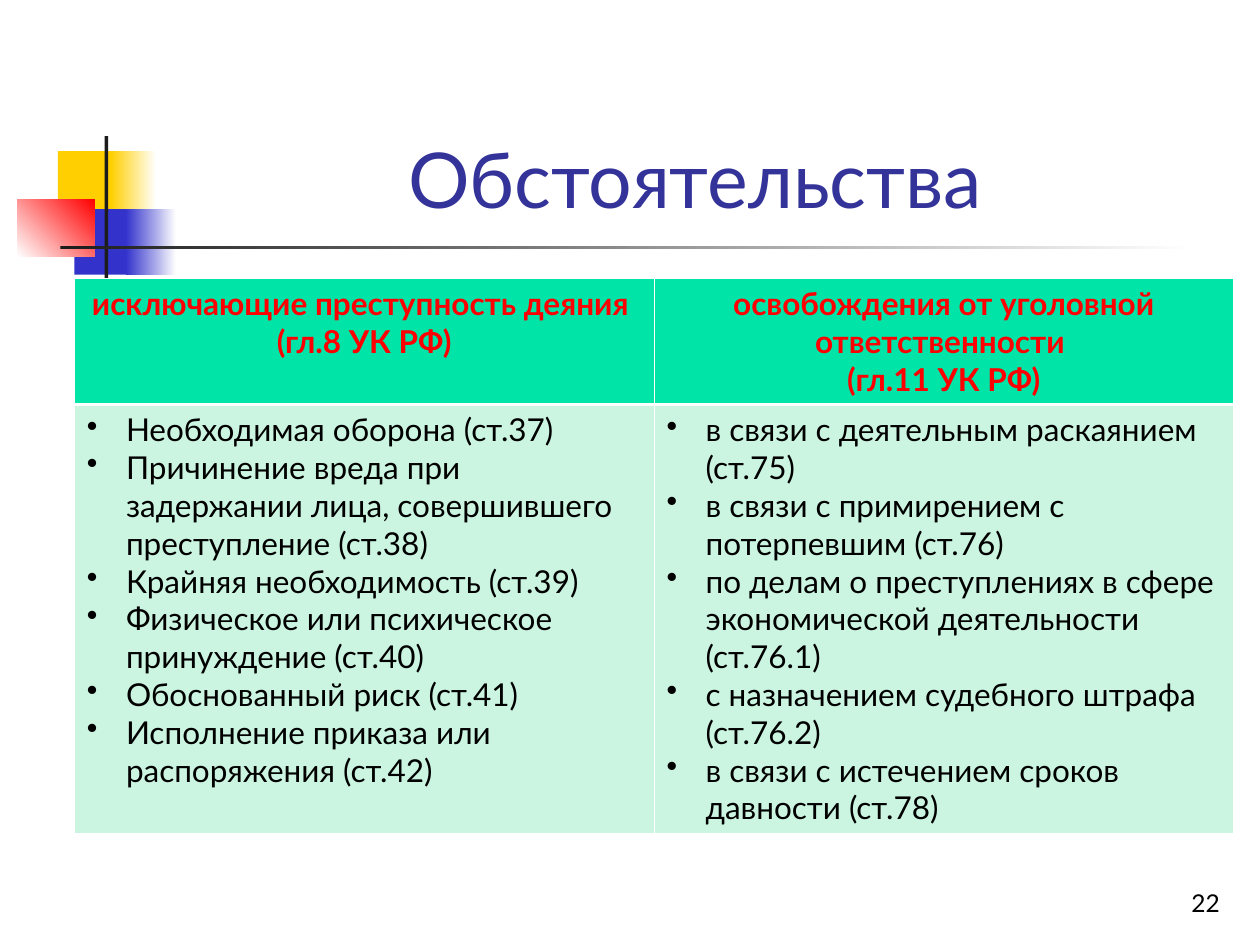
from dataclasses import dataclass
from typing import Optional

from lxml.etree import SubElement
from pptx import Presentation
from pptx.dml.color import RGBColor
from pptx.enum.shapes import MSO_SHAPE as Preset
from pptx.enum.text import MSO_ANCHOR as Anchor, PP_ALIGN as Align
from pptx.oxml.ns import qn
from pptx.util import Inches, Pt

FONT = "Lato"
COLORS = {
    "yellow": "FFCF01", "blue": "3333CC", "red": "FF0000", "dark": "1C1C1C",
    "white": "FFFFFF", "title": "333399", "black": "000000",
    "header": "00E4A8", "body": "CBF5E1",
}


@dataclass
class Block:
    left: float
    top: float
    width: float
    height: float
    start: str
    end: Optional[str] = None
    angle: int = 0


@dataclass
class Column:
    heading: list[str]
    items: list[str]


BLOCKS = [
    Block(0.46, 1.2, 0.48, 0.52, "yellow"),
    Block(0.88, 1.2, 0.36, 0.52, "yellow", "white"),
    Block(0.59, 1.66, 0.46, 0.52, "blue"),
    Block(1, 1.66, 0.4, 0.52, "blue", "white"),
    Block(0.14, 1.58, 0.61, 0.46, "white", "red", 45),
    Block(0.83, 1.08, 0.03, 1.15, "dark"),
    Block(0.48, 1.95, 9, 0.03, "dark", "white"),
]

COLUMNS = [
    Column(
        ["исключающие преступность деяния ", "(гл.8 УК РФ)"],
        [
            "Необходимая оборона (ст.37)",
            "Причинение вреда при задержании лица, совершившего преступление (ст.38)",
            "Крайняя необходимость (ст.39)",
            "Физическое или психическое принуждение (ст.40)",
            "Обоснованный риск (ст.41)",
            "Исполнение приказа или распоряжения (ст.42)",
        ],
    ),
    Column(
        ["освобождения от уголовной ответственности ", "(гл.11 УК РФ)"],
        [
            "в связи с деятельным раскаянием (ст.75)",
            "в связи с примирением с потерпевшим (ст.76)",
            "по делам о преступлениях в сфере экономической деятельности (ст.76.1)",
            "с назначением судебного штрафа (ст.76.2)",
            "в связи с истечением сроков давности (ст.78)",
        ],
    ),
]


def rgb(name: str) -> RGBColor:
    return RGBColor.from_string(COLORS[name])


def draw_block(slide, block: Block) -> None:
    shape = slide.shapes.add_shape(
        Preset.RECTANGLE, Inches(block.left), Inches(block.top),
        Inches(block.width), Inches(block.height))
    shape.shadow.inherit = False
    shape.line.fill.background()
    if block.end is None:
        shape.fill.solid()
        shape.fill.fore_color.rgb = rgb(block.start)
        return
    shape.fill.gradient()
    shape.fill.gradient_angle = block.angle
    for stop, color in zip(shape.fill.gradient_stops, (block.start, block.end)):
        stop.color.rgb = rgb(color)


def format_text(text_frame, size: int, color: str, align: Align, bold: bool = False) -> None:
    for paragraph in text_frame.paragraphs:
        paragraph.alignment = align
        for run in paragraph.runs:
            run.font.name = FONT
            run.font.size = Pt(size)
            run.font.bold = bold
            run.font.color.rgb = rgb(color)


def add_bullet(paragraph) -> None:
    properties = paragraph._p.get_or_add_pPr()
    properties.set("marL", str(Inches(0.31)))
    properties.set("indent", str(-Inches(0.31)))
    bullet_color = SubElement(properties, qn("a:buClr"))
    SubElement(bullet_color, qn("a:srgbClr"), val=COLORS["black"])
    SubElement(properties, qn("a:buChar"), char="•")


def set_borders(cell, top: float, bottom: float) -> None:
    properties = cell._tc.get_or_add_tcPr()
    for side, width in (("L", 0.45), ("R", 0.45), ("T", top), ("B", bottom)):
        line = SubElement(properties, qn(f"a:ln{side}"), w=str(Pt(width)))
        fill = SubElement(line, qn("a:solidFill"))
        SubElement(fill, qn("a:srgbClr"), val=COLORS["white"])


def fill_cell(cell, lines: list[str], is_header: bool) -> None:
    cell.text_frame.text = "\n".join(lines)
    if is_header:
        set_borders(cell, 0.45, 1.47)
        format_text(cell.text_frame, 18, "red", Align.CENTER, bold=True)
    else:
        set_borders(cell, 1.47, 0.45)
        for paragraph in cell.text_frame.paragraphs:
            add_bullet(paragraph)
        format_text(cell.text_frame, 18, "black", Align.LEFT)
    cell.fill.solid()
    cell.fill.fore_color.rgb = rgb("header" if is_header else "body")


def draw_title(slide) -> None:
    title = slide.shapes.title
    title.left, title.top = Inches(1.26), Inches(0.23)
    title.width, title.height = Inches(8.52), Inches(1.6)
    title.text_frame.text = "Обстоятельства"
    title.text_frame.vertical_anchor = Anchor.BOTTOM
    format_text(title.text_frame, 44, "title", Align.CENTER)


def draw_table(slide, columns: list[Column]) -> None:
    table = slide.shapes.add_table(
        2, len(columns), Inches(0.59), Inches(2.21), Inches(9.2), Inches(4.4)).table
    table.horz_banding = False
    table.rows[0].height = Inches(1)
    table.rows[1].height = Inches(3.4)
    for index, column in enumerate(columns):
        fill_cell(table.cell(0, index), column.heading, True)
        fill_cell(table.cell(1, index), column.items, False)


def draw_page_number(slide) -> None:
    box = slide.shapes.add_textbox(Inches(7.7), Inches(6.83), Inches(2.08), Inches(0.5))
    box.text_frame.word_wrap = True
    box.text_frame.vertical_anchor = Anchor.BOTTOM
    box.text_frame.text = "22"
    format_text(box.text_frame, 14, "black", Align.RIGHT)


def main() -> None:
    """Build the slide on circumstances excluding or lifting criminal liability."""
    presentation = Presentation()
    presentation.slide_width, presentation.slide_height = Inches(10), Inches(7.5)
    slide = presentation.slides.add_slide(presentation.slide_layouts[5])
    for block in BLOCKS:
        draw_block(slide, block)
    draw_title(slide)
    draw_table(slide, COLUMNS)
    draw_page_number(slide)
    presentation.save("out.pptx")


if __name__ == "__main__":
    main()
